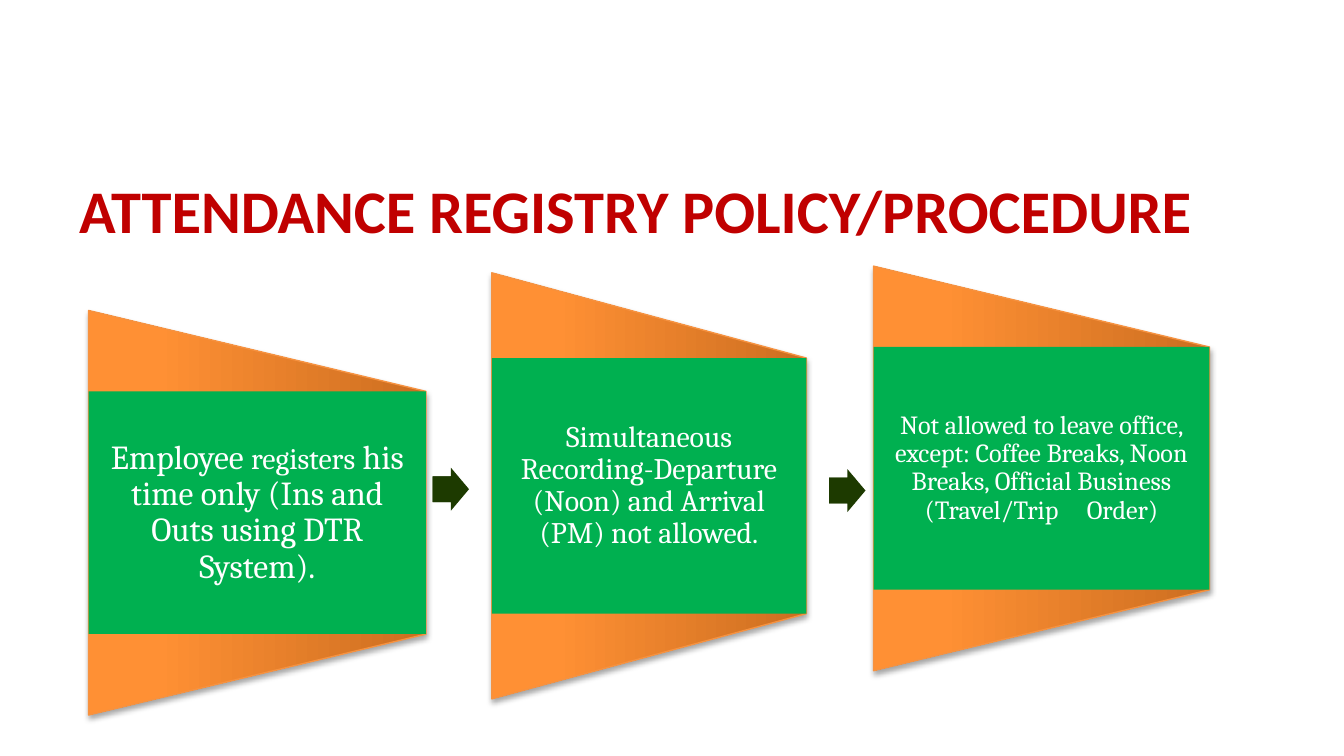
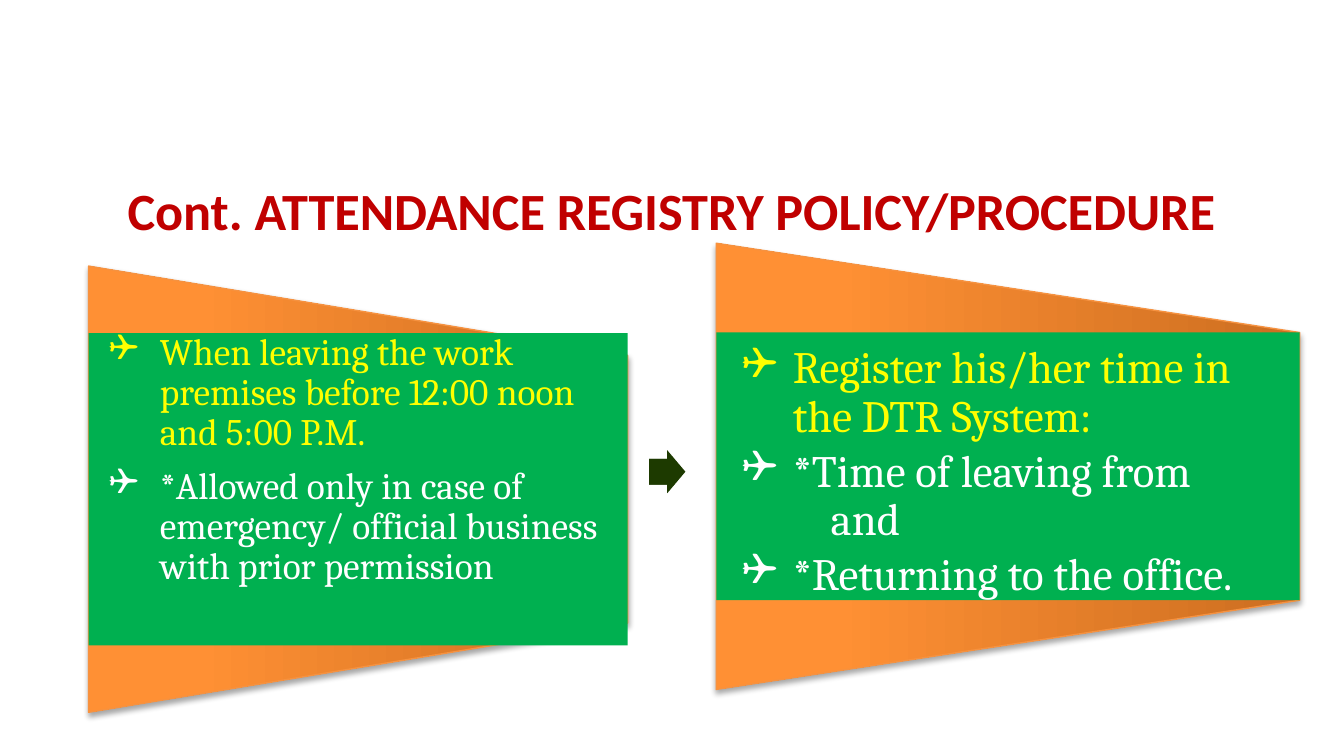
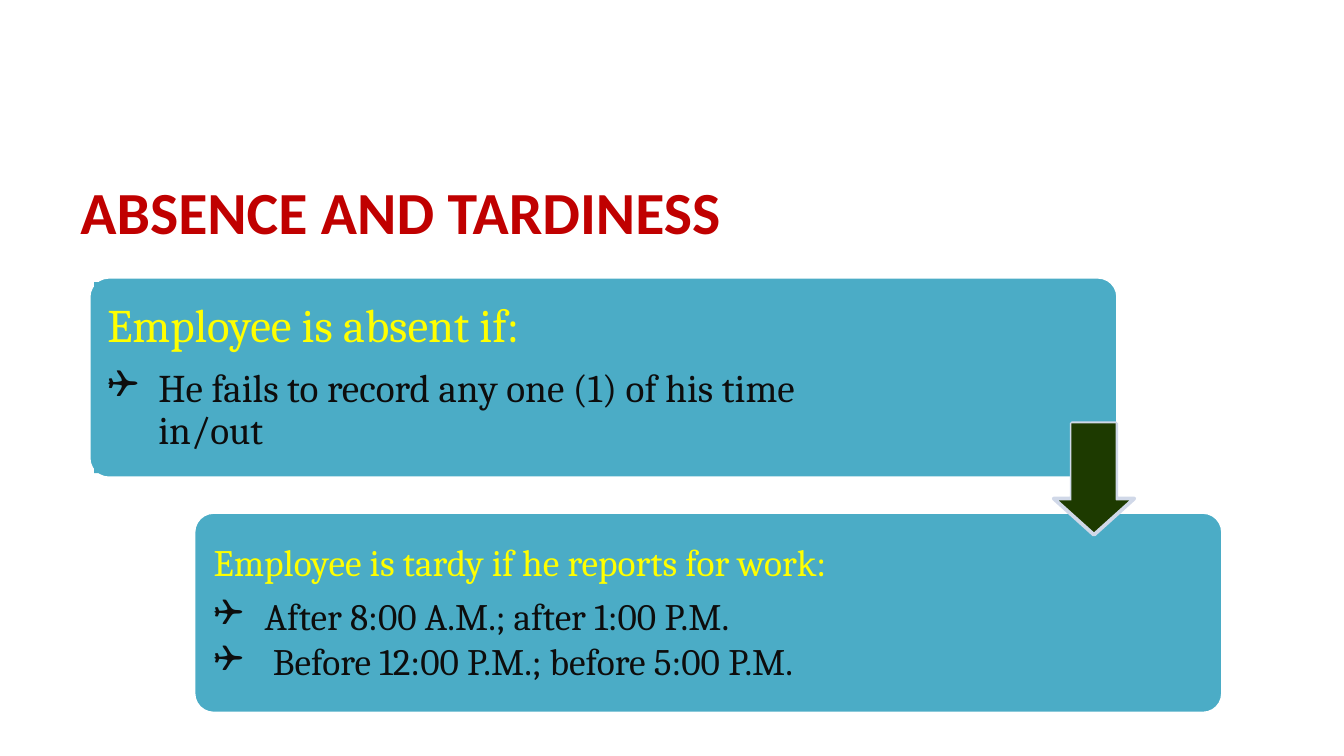
from copy import deepcopy

from lxml.etree import SubElement
from pptx import Presentation
from pptx.dml.color import RGBColor
from pptx.enum.shapes import MSO_SHAPE
from pptx.enum.text import MSO_ANCHOR, PP_ALIGN
from pptx.oxml.ns import qn
from pptx.util import Inches, Pt

WIDTH = 10
HEIGHT = WIDTH * 9 / 16
RED = RGBColor(0xC0, 0x00, 0x00)
GREEN = RGBColor(0x00, 0xB0, 0x50)
DARK_GREEN = RGBColor(0x1D, 0x3A, 0x00)
TEAL = RGBColor(0x4B, 0xAC, 0xC6)
PALE_BLUE = RGBColor(0xD0, 0xD8, 0xE8)
YELLOW = RGBColor(0xFF, 0xFF, 0x00)
WHITE = RGBColor(0xFF, 0xFF, 0xFF)
INK = RGBColor(0x0D, 0x0D, 0x0D)
ORANGE_EDGE = RGBColor(0xF6, 0x92, 0x40)
ORANGES = [(0, RGBColor(0xCC, 0x6E, 0x20)),
           (0.8, RGBColor(0xFF, 0x90, 0x34)),
           (1, RGBColor(0xFF, 0x91, 0x36))]
TITLE_FONT, BODY_FONT, BULLET_FONT = "Calibri", "Cambria", "Wingdings"
BULLET, HANG = "❑", 0.38
BREAK = "\v"

# Each paragraph is a dict: runs of (text, size, letter spacing if any),
# and what differs from the default.
CENTERED = dict(align=PP_ALIGN.CENTER, after=0.35)
LISTED = dict(bullet=True, after=0.15)

POLICY = dict(
    title="ATTENDANCE REGISTRY POLICY/PROCEDURE", title_box=(0.49, 1.14, 9.02, 0.84),
    title_format=dict(size=32.4),
    cards=[
        dict(box=(0.66, 2.31, 2.51, 3.01), inset=0.14, paragraphs=[
            dict(CENTERED, runs=[("Employee ", 18), ("registers", 16),
                                 (" his time only (Ins and Outs using DTR System).", 18)])]),
        dict(box=(3.66, 2.03, 2.34, 3.17), inset=0.14, paragraphs=[
            dict(CENTERED, runs=[("Simultaneous Recording-Departure (Noon) and "
                                  "Arrival (PM) not allowed.", 16)])]),
        dict(box=(6.5, 1.98, 2.5, 3.01), inset=0.14, paragraphs=[
            dict(CENTERED, runs=[("Not allowed to leave office, except: Coffee Breaks, Noon "
                                  "Breaks, Official Business (Travel/Trip", 14),
                                 (" ", 14, 12), ("Order)", 14)])]),
    ],
    arrows=[(3.22, 3.48), (6.17, 3.49)])

POLICY_CONT = dict(
    title="Cont. ATTENDANCE REGISTRY POLICY/PROCEDURE", title_box=(0.32, 1.14, 9.35, 0.84),
    title_format=dict(size=28, align=PP_ALIGN.CENTER),
    cards=[
        dict(box=(0.66, 1.98, 4.01, 3.32), share=0.7, inset=0.15, anchor=MSO_ANCHOR.TOP,
             paragraphs=[
                 dict(LISTED, after=0.35, color=YELLOW,
                      runs=[("When leaving the work premises before 12:00 noon and 5:00 P.M.", 20)]),
                 dict(LISTED, runs=[("*Allowed only in case of emergency/ official business "
                                     "with prior permission", 20)])]),
        dict(box=(5.33, 1.81, 4.34, 3.32), inset=0.19, anchor=MSO_ANCHOR.BOTTOM,
             paragraphs=[
                 dict(LISTED, color=YELLOW,
                      runs=[("Register his/her time in the DTR System:", 24)]),
                 dict(LISTED, runs=[("*Time of leaving from", 24), (BREAK, 24),
                                    (" ", 24, 15), ("and", 24)]),
                 dict(LISTED, runs=[("*Returning to the office.", 24)])]),
    ],
    arrows=[(4.83, 3.35)])

ABSENCE = dict(
    title="ABSENCE AND TARDINESS", title_box=(0.5, 1.15, 9.02, 0.84),
    title_format=dict(size=32),
    boxes=[
        dict(box=(0.66, 2.06), text_box=(0.7, 2.1, 6.11, 1.42), fill=TEAL, inset=0.1, paragraphs=[
            dict(color=YELLOW, after=0.35, runs=[("Employee is absent if:", 25)]),
            dict(LISTED, color=INK,
                 runs=[("He fails to record any one (1) of his time in/out", 21)])]),
        dict(box=(1.44, 3.81), text_box=(1.51, 3.86, 5.25, 1.42), fill=None, inset=0.08, paragraphs=[
            dict(color=YELLOW, after=0.35,
                 runs=[("Employee is tardy if he reports for work:", 20)]),
            dict(LISTED, color=INK, runs=[("After 8:00 A.M.; after 1:00 P.M.", 20)]),
            dict(LISTED, color=INK, runs=[(" Before 12:00 P.M.; before 5:00 P.M.", 20)])]),
    ])


def add_shape(slide, kind, box, fill=None, line=None, weight=1, adjust=()):
    sp = slide.shapes.add_shape(kind, *map(Inches, box))
    sp.shadow.inherit = False
    for i, value in enumerate(adjust):
        sp.adjustments[i] = value
    if fill is None:
        sp.fill.background()
    else:
        sp.fill.solid()
        sp.fill.fore_color.rgb = fill
    if line is None:
        sp.line.fill.background()
    else:
        sp.line.color.rgb = line
        sp.line.width = Pt(weight)
    return sp


def add_run(p, text, size, spacing=0, font=BODY_FONT, color=WHITE, bold=False):
    if text == BREAK:
        p.add_line_break()
        return
    r = p.add_run()
    r.text = text
    r.font.name, r.font.size, r.font.bold = font, Pt(size), bold
    r.font.color.rgb = color
    if spacing:
        r.font._element.set("spc", str(spacing * 100))


def add_paragraph(p, runs, align=PP_ALIGN.LEFT, leading=0.9, after=0, bullet=False, **fmt):
    """Fill p with runs; after is a share of the text size."""
    p.alignment = align
    p.line_spacing = leading
    p.space_after = Pt(after * runs[0][1])
    if bullet:
        pPr = p._p.get_or_add_pPr()
        pPr.set("marL", str(Inches(HANG)))
        pPr.set("indent", str(Inches(-HANG)))
        SubElement(pPr, qn("a:buFont"), typeface=BULLET_FONT)
        SubElement(pPr, qn("a:buChar"), char=BULLET)
    for run in runs:
        add_run(p, *run, **fmt)


def write(sp, paragraphs, anchor=MSO_ANCHOR.MIDDLE, inset_x=0.1, inset_y=0.05):
    tf = sp.text_frame
    tf.word_wrap = True
    tf.vertical_anchor = anchor
    tf.margin_left = tf.margin_right = Inches(inset_x)
    tf.margin_top = tf.margin_bottom = Inches(inset_y)
    for i, paragraph in enumerate(paragraphs):
        add_paragraph(tf.add_paragraph() if i else tf.paragraphs[0], **paragraph)


def add_title(slide, text, box, size, align=PP_ALIGN.LEFT):
    sp = slide.shapes.add_textbox(*map(Inches, box))
    write(sp, [dict(runs=[(text, size)], font=TITLE_FONT, color=RED, bold=True,
                    align=align, leading=1.0)])


def add_funnel(slide, x, y, w, h):
    """Orange trapezoid, turned a quarter so that it narrows to the right."""
    box = (x + (w - h) / 2, y + (h - w) / 2, h, w)
    sp = add_shape(slide, MSO_SHAPE.FLOWCHART_MANUAL_OPERATION, box, line=ORANGE_EDGE, weight=0.75)
    sp.rotation = 270
    sp.fill.gradient()
    sp.fill.gradient_angle = 90
    spPr = sp._element.spPr
    stops = spPr.find(".//" + qn("a:gsLst"))
    stops.append(deepcopy(stops[-1]))
    for stop, (position, color) in zip(sp.fill.gradient_stops, ORANGES):
        stop.position = position
        stop.color.rgb = color
    shadow = SubElement(spPr.find(qn("a:effectLst")), qn("a:outerShdw"), blurRad=str(Pt(3.1)),
                        dist=str(Pt(1.8)), dir="5400000", rotWithShape="0")
    black = SubElement(shadow, qn("a:srgbClr"), val="000000")
    SubElement(black, qn("a:alpha"), val="35000")


def add_card(slide, box, paragraphs, inset, share=0.6, anchor=MSO_ANCHOR.MIDDLE):
    """Funnel with a green text panel over the middle share of its height."""
    x, y, w, h = box
    add_funnel(slide, *box)
    panel = add_shape(slide, MSO_SHAPE.RECTANGLE, (x, y + h * (1 - share) / 2, w, h * share), GREEN)
    write(panel, paragraphs, anchor, inset, 0)


def add_arrow(slide, kind, box, core, **fmt):
    """Arrow with a plain core, given as shares of the arrow's box, over its shaft."""
    x, y, w, h = box
    left, top, width, height = core
    add_shape(slide, kind, box, DARK_GREEN, **fmt)
    add_shape(slide, MSO_SHAPE.RECTANGLE,
              (x + left * w, y + top * h, width * w, height * h), DARK_GREEN)


def add_policy_slide(slide, cards, arrows):
    for card in cards:
        add_card(slide, **card)
    for x, y in arrows:
        add_arrow(slide, MSO_SHAPE.RIGHT_ARROW, (x, y, 0.27, 0.32), (0, 0.2, 0.7, 0.6),
                  adjust=(0.6, 0.5))


def add_absence_slide(slide, boxes):
    for b in boxes:
        add_shape(slide, MSO_SHAPE.ROUNDED_RECTANGLE, (*b["box"], 7.66, 1.5), TEAL,
                  line=WHITE, weight=2, adjust=(0.1,))
        sp = add_shape(slide, MSO_SHAPE.RECTANGLE, b["text_box"], b["fill"])
        write(sp, b["paragraphs"], inset_x=b["inset"], inset_y=b["inset"])
    add_arrow(slide, MSO_SHAPE.DOWN_ARROW, (7.84, 3.15, 0.6, 0.83), (0.22, 0, 0.55, 0.76),
              line=PALE_BLUE, weight=2, adjust=(0.55, 0.45))


def main():
    prs = Presentation()
    prs.slide_width, prs.slide_height = Inches(WIDTH), Inches(HEIGHT)
    for content in (POLICY, POLICY_CONT, ABSENCE):
        slide = prs.slides.add_slide(prs.slide_layouts[6])
        add_title(slide, content["title"], content["title_box"], **content["title_format"])
        if "cards" in content:
            add_policy_slide(slide, content["cards"], content["arrows"])
        else:
            add_absence_slide(slide, content["boxes"])
    prs.save("out.pptx")


if __name__ == "__main__":
    main()
